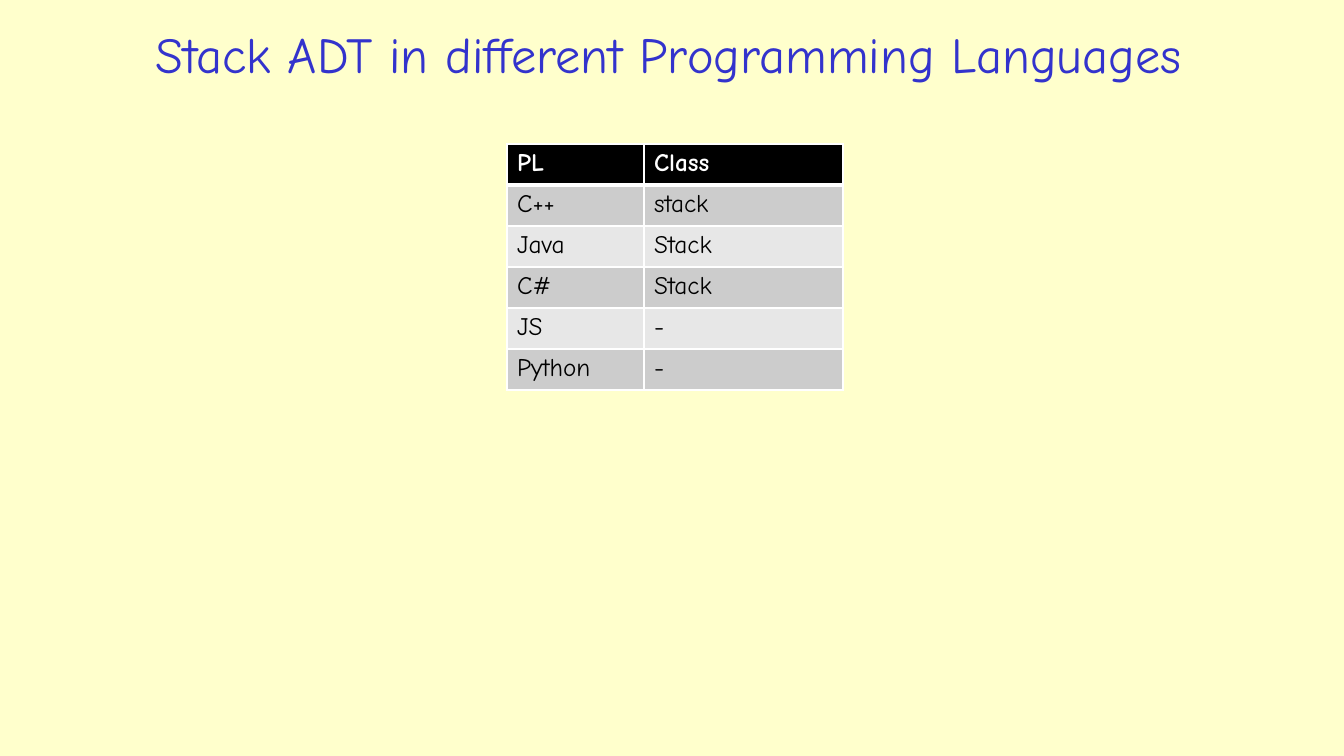
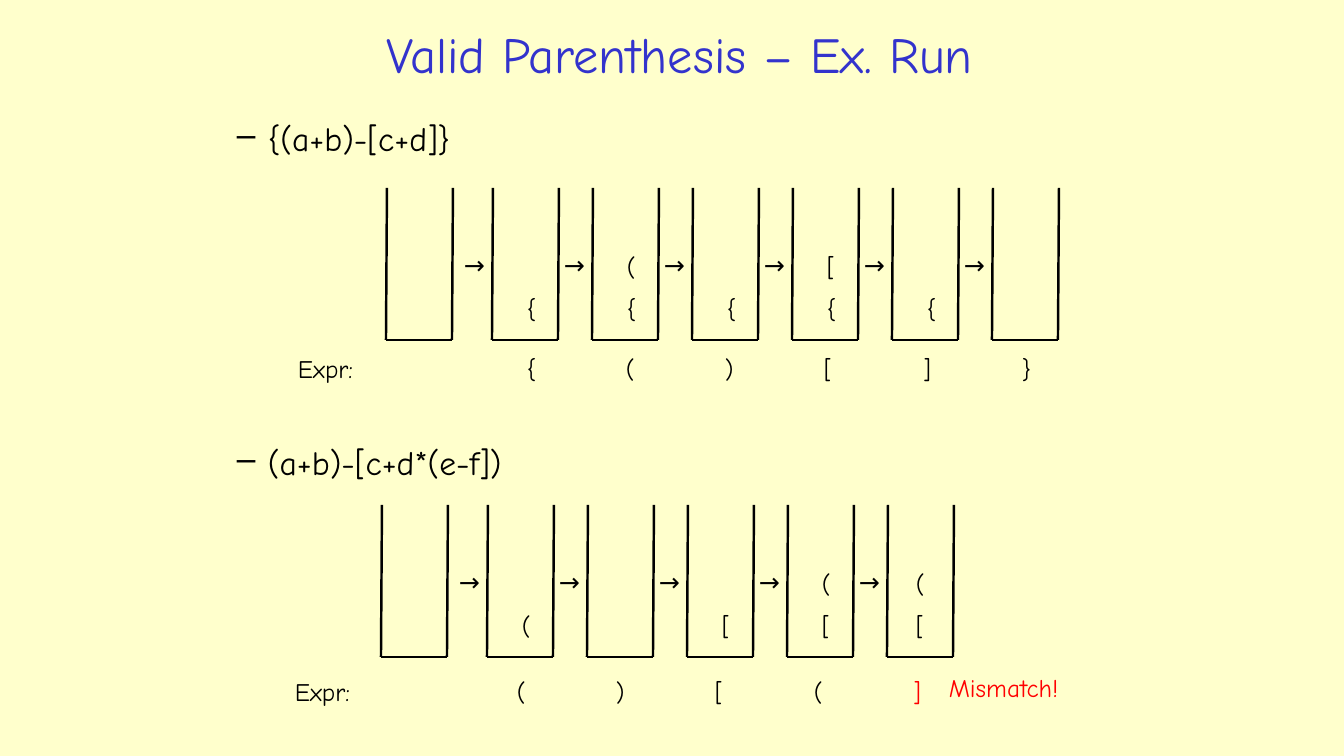
from lxml import etree
from pptx import Presentation
from pptx.dml.color import RGBColor
from pptx.enum.shapes import MSO_CONNECTOR
from pptx.enum.text import MSO_ANCHOR, MSO_AUTO_SIZE, PP_ALIGN
from pptx.oxml.ns import qn
from pptx.util import Emu, Pt

SLIDE_W, SLIDE_H = 1344, 756
EMU_PER_PX = 12192000 / SLIDE_W

CREAM = RGBColor(0xFF, 0xFF, 0xCC)
BLUE = RGBColor(0x33, 0x33, 0xCC)
BLACK = RGBColor(0x00, 0x00, 0x00)
WHITE = RGBColor(0xFF, 0xFF, 0xFF)
RED = RGBColor(0xFF, 0x00, 0x00)
DARK_BAND = RGBColor(0xCC, 0xCC, 0xCC)
LIGHT_BAND = RGBColor(0xE7, 0xE7, 0xE7)

STRAIGHT = MSO_CONNECTOR.STRAIGHT
MIDDLE = MSO_ANCHOR.MIDDLE
GROW = MSO_AUTO_SIZE.SHAPE_TO_FIT_TEXT
CENTER = PP_ALIGN.CENTER

STACK_W, STACK_H, STACK_LEAN = 66, 152, 1
STACK_STEP, FIRST_STEP = 100, 106
READ_STEP = 99
LEVEL_STEP = 42


def px(length):
    return Emu(round(length * EMU_PER_PX))


class Deck:
    """Holds the shared style and the slide being filled."""

    font_name = "Comic Neue"
    title_size, bullet_size, body_size = 36, 24, 18

    def __init__(self):
        self.prs = Presentation()
        self.prs.slide_width, self.prs.slide_height = px(SLIDE_W), px(SLIDE_H)
        background = self.prs.slide_master.background.fill
        background.solid()
        background.fore_color.rgb = CREAM
        self.slide = None

    def new_slide(self, title, left, width):
        self.slide = self.prs.slides.add_slide(self.prs.slide_layouts[6])
        heading = self.text(title, left, 15, width, 77, self.title_size, BLUE)
        heading.vertical_anchor = MIDDLE
        heading.paragraphs[0].alignment = CENTER

    def style(self, paragraph, size, color, bold=False):
        for run in paragraph.runs:
            run.font.name = self.font_name
            run.font.size = Pt(size)
            run.font.color.rgb = color
            run.font.bold = bold

    def text(self, words, left, top, width, height, size, color=BLACK):
        box = self.slide.shapes.add_textbox(px(left), px(top), px(width), px(height))
        frame = box.text_frame
        frame.word_wrap = True
        frame.text = words
        self.style(frame.paragraphs[0], size, color)
        return frame

    def bullet(self, words, top):
        frame = self.text(words, 176, top, 984, 70, self.bullet_size)
        properties = frame.paragraphs[0]._p.get_or_add_pPr()
        properties.set("marL", str(px(82)))
        properties.set("indent", str(px(-31)))
        etree.SubElement(properties, qn("a:buChar")).set("char", "–")

    def label(self, words, left, top, width=36, color=BLACK):
        """Place a one-line text that does not wrap."""
        frame = self.text(words, left, top, width, 40, self.body_size, color)
        frame.word_wrap = False
        frame.auto_size = GROW
        frame.paragraphs[0]._p.get_or_add_pPr().set("marL", str(px(6)))

    def stack(self, left, top):
        """Draw the open-topped outline of a stack as one group."""
        right, bottom = left + STACK_W, top + STACK_H
        sides = self.slide.shapes.add_group_shape().shapes
        for x1, y1, x2, y2 in (
            (left + STACK_LEAN, top, left, bottom),
            (right + STACK_LEAN, top, right, bottom),
            (left, bottom, right, bottom),
        ):
            side = sides.add_connector(STRAIGHT, px(x1), px(y1), px(x2), px(y2))
            side.line.color.rgb = BLACK
            side.line.width = Pt(1.75)
            etree.SubElement(side._element.spPr, qn("a:effectLst"))

    def example_run(self, left, top, contents, expr_left, expr_top,
                    read_left, read, mismatch=False):
        """Draw the stack after each symbol read, and the symbols below."""
        last = len(contents) - 1
        for step, symbols in enumerate(contents):
            stack_left = left
            if step:
                stack_left += FIRST_STEP + (step - 1) * STACK_STEP
                self.label("→", stack_left - 44, top + 56, 51)
            self.stack(stack_left, top)
            inset = 13 if mismatch and step == last else 19
            for level, symbol in enumerate(symbols):
                self.label(symbol, stack_left + inset, top + 100 - level * LEVEL_STEP)

        self.label("Expr:", expr_left, expr_top, 91)
        for index, symbol in enumerate(read):
            failed = mismatch and index == len(read) - 1
            self.label(symbol, read_left + index * READ_STEP, expr_top,
                       color=RED if failed else BLACK)
        if mismatch:
            self.label("Mismatch!", read_left + len(read) * READ_STEP - 63,
                       expr_top - 4, 147, RED)

    def cell_borders(self, cell, top, bottom):
        properties = cell._tc.get_or_add_tcPr()
        for edge, width in (("L", 1), ("R", 1), ("T", top), ("B", bottom)):
            line = etree.SubElement(properties, qn(f"a:ln{edge}"), w=str(Pt(width)))
            fill = etree.SubElement(line, qn("a:solidFill"))
            etree.SubElement(fill, qn("a:srgbClr"), val=str(WHITE))

    def table(self, rows, left, top, column_widths, row_height):
        grid = self.slide.shapes.add_table(
            len(rows), len(column_widths), px(left), px(top),
            px(sum(column_widths)), px(row_height * len(rows))).table
        for column, width in zip(grid.columns, column_widths):
            column.width = px(width)
        for r, values in enumerate(rows):
            grid.rows[r].height = px(row_height)
            header = r == 0
            band = BLACK if header else DARK_BAND if r % 2 else LIGHT_BAND
            for c, value in enumerate(values):
                cell = grid.cell(r, c)
                cell.text = value
                self.style(cell.text_frame.paragraphs[0], self.body_size,
                           WHITE if header else BLACK, header)
                self.cell_borders(cell, 3 if r == 1 else 1, 3 if header else 1)
                cell.fill.solid()
                cell.fill.fore_color.rgb = band


def main():
    deck = Deck()

    deck.new_slide("Stack ADT in different Programming Languages", 33, 1271)
    languages = [
        ("PL", "Class"),
        ("C++", "stack"),
        ("Java", "Stack"),
        ("C#", "Stack"),
        ("JS", "-"),
        ("Python", "-"),
    ]
    deck.table(languages, 507, 144, (137, 199), 41)

    deck.new_slide("Valid Parenthesis – Ex. Run", 199, 961)
    deck.bullet("{(a+b)-[c+d]}", 113)
    deck.example_run(386, 188, ("", "{", "{(", "{", "{[", "{", ""),
                     282, 348, 511, "{()[]}")
    deck.bullet("(a+b)-[c+d*(e-f])", 437)
    deck.example_run(381, 505, ("", "(", "", "[", "[(", "[("),
                     279, 671, 501, "()[(]", mismatch=True)

    deck.prs.save("out.pptx")


if __name__ == "__main__":
    main()
